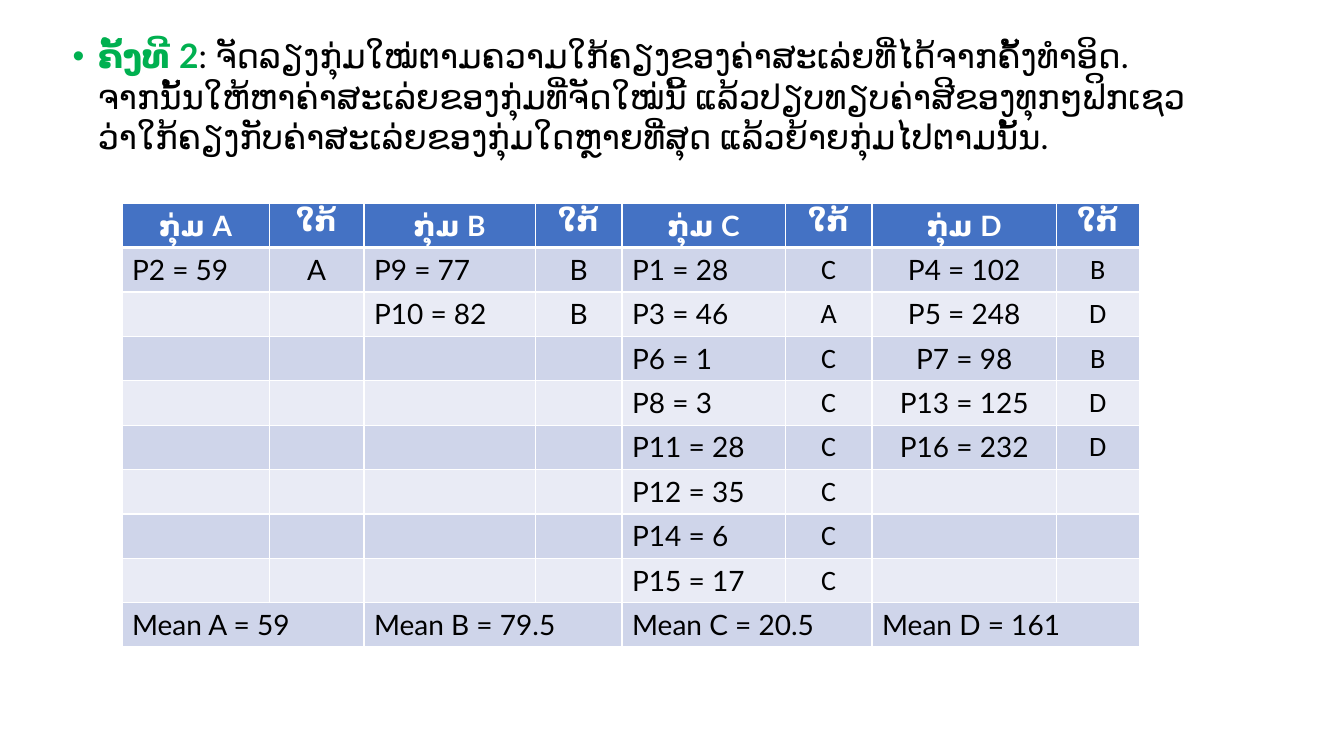
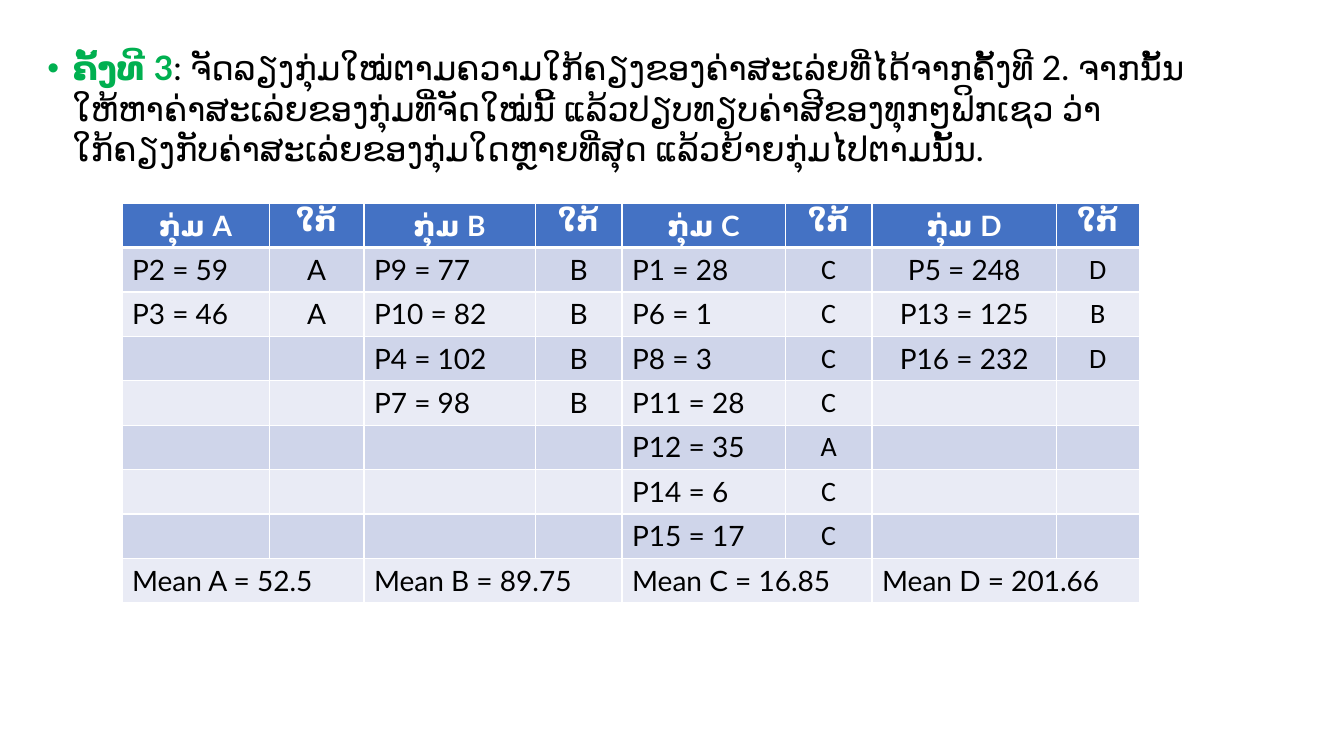
from dataclasses import dataclass
from itertools import zip_longest

from pptx import Presentation
from pptx.dml.color import RGBColor as Rgb
from pptx.enum.text import MSO_ANCHOR as Anchor, PP_ALIGN as Align
from pptx.oxml import parse_xml
from pptx.oxml.ns import nsdecls
from pptx.util import Inches, Pt

STEPS = [
    {
        "lead": "ຄັ້ງທີ 2",
        "text": ": ຈັດລຽງກຸ່ມໃໝ່ຕາມຄວາມໃກ້ຄຽງຂອງຄ່າສະເລ່ຍທີ່ໄດ້ຈາກຄັ້ງທຳອິດ. "
                "ຈາກນັ້ນໃຫ້ຫາຄ່າສະເລ່ຍຂອງກຸ່ມທີ່ຈັດໃໝ່ນີ້ ແລ້ວປຽບທຽບຄ່າສີຂອງທຸກໆຟິກເຊວ "
                "ວ່າໃກ້ຄຽງກັບຄ່າສະເລ່ຍຂອງກຸ່ມໃດຫຼາຍທີ່ສຸດ ແລ້ວຍ້າຍກຸ່ມໄປຕາມນັ້ນ.",
        "at": (0.62, 0.3),
        "groups": {
            "A": [(2, 59, "A")],
            "B": [(9, 77, "B"), (10, 82, "B")],
            "C": [(1, 28, "C"), (3, 46, "A"), (6, 1, "C"), (8, 3, "C"),
                  (11, 28, "C"), (12, 35, "C"), (14, 6, "C"), (15, 17, "C")],
            "D": [(4, 102, "B"), (5, 248, "D"), (7, 98, "B"),
                  (13, 125, "D"), (16, 232, "D")],
        },
        "means": ("59", "79.5", "20.5", "161"),
    },
    {
        "lead": "ຄັ້ງທີ 3",
        "text": ": ຈັດລຽງກຸ່ມໃໝ່ຕາມຄວາມໃກ້ຄຽງຂອງຄ່າສະເລ່ຍທີ່ໄດ້ຈາກຄັ້ງທີ 2. "
                "ຈາກນັ້ນໃຫ້ຫາຄ່າສະເລ່ຍຂອງກຸ່ມທີ່ຈັດໃໝ່ນີ້ ແລ້ວປຽບທຽບຄ່າສີຂອງທຸກໆຟິກເຊວ "
                "ວ່າໃກ້ຄຽງກັບຄ່າສະເລ່ຍຂອງກຸ່ມໃດຫຼາຍທີ່ສຸດ ແລ້ວຍ້າຍກຸ່ມໄປຕາມນັ້ນ.",
        "at": (0.37, 0.42),
        "groups": {
            "A": [(2, 59, "A"), (3, 46, "A")],
            "B": [(9, 77, "B"), (10, 82, "B"), (4, 102, "B"), (7, 98, "B")],
            "C": [(1, 28, "C"), (6, 1, "C"), (8, 3, "C"), (11, 28, "C"),
                  (12, 35, "A"), (14, 6, "C"), (15, 17, "C")],
            "D": [(5, 248, "D"), (13, 125, "B"), (16, 232, "D")],
        },
        "means": ("52.5", "89.75", "16.85", "201.66"),
    },
]
NEAR = "ໃກ້"
GROUP = "ກຸ່ມ"

SIZE = (13.33, 7.5)
BODY = (11.5, 5.56)
GRID = (1.21, 2.02)
COLS = (1.46, 0.94, 1.7, 0.86, 1.62, 0.86, 1.83, 0.82)
ROW = 0.43
MID_COLS = {1, 3, 5, 6, 7}
ALT_COLS = {5, 7}


@dataclass(frozen=True)
class Theme:
    """Colours, fonts and type sizes of the deck."""
    lead: str = "00B050"
    ink: str = "000000"
    light: str = "FFFFFF"
    head: str = "4472C4"
    bands: tuple = ("E9EBF5", "CFD5EA")
    font: str = "Lato"
    alt: str = "Calibri"
    body: int = 24
    cell: int = 20
    thin: int = 1
    thick: int = 3


LOOK = Theme()


def style(run, size, color, bold=False, font=LOOK.font):
    """Format one run."""
    run.font.size, run.font.bold, run.font.name = Pt(size), bold, font
    run.font.color.rgb = Rgb.from_string(color)


def add_note(slide, step):
    """Fill the body placeholder with the bulleted step."""
    body = slide.placeholders[1]
    body.left, body.top = map(Inches, step["at"])
    body.width, body.height = map(Inches, BODY)
    body.text_frame.vertical_anchor = Anchor.TOP
    para = body.text_frame.paragraphs[0]
    para.space_before, para.line_spacing = Pt(10), 1.0
    props = para._p.get_or_add_pPr()
    props.set("marL", str(Inches(0.25)))
    props.set("indent", str(-Inches(0.25)))
    for tag in ('buFont %s typeface="Arial"', 'buChar %s char="•"'):
        props.append(parse_xml(f"<a:{tag % nsdecls('a')}/>"))
    for key, color in (("lead", LOOK.lead), ("text", LOOK.ink)):
        run = para.add_run()
        run.text = step[key]
        style(run, LOOK.body, color, key == "lead")


def add_edges(cell, row):
    """Draw the white cell borders, thick under the header row."""
    thick = {"B": row == 0, "T": row == 1}
    for i, side in enumerate("LRTB"):
        width = Pt(LOOK.thick if thick.get(side) else LOOK.thin)
        cell._tc.get_or_add_tcPr().insert(i, parse_xml(
            f'<a:ln{side} {nsdecls("a")} w="{width}"><a:solidFill>'
            f'<a:srgbClr val="{LOOK.light}"/></a:solidFill></a:ln{side}>'))


def lay_rows(step):
    """Return the table's text, row by row."""
    groups = step["groups"]
    rows = [[text for name in groups for text in (f"{GROUP} {name}", NEAR)]]
    for points in zip_longest(*groups.values()):
        pairs = [(f"P{p[0]} = {p[1]}", p[2]) if p else ("", "") for p in points]
        rows.append([text for pair in pairs for text in pair])
    means = zip(groups, step["means"])
    rows.append([text for name, mean in means
                 for text in (f"Mean {name} = {mean}", "")])
    return rows


def fill_cell(cell, text, row, col, last):
    """Set the text, fill and borders of one cell."""
    head, foot = row == 0, row == last
    cell.fill.solid()
    color = LOOK.head if head else LOOK.bands[row % 2]
    cell.fill.fore_color.rgb = Rgb.from_string(color)
    add_edges(cell, row)
    if not text:
        return
    para = cell.text_frame.paragraphs[0]
    para.text = text
    mid = head or (col in MID_COLS and not foot)
    para.alignment = Align.CENTER if mid else Align.LEFT
    alt = col in ALT_COLS and not head
    style(para.runs[0], LOOK.cell, LOOK.light if head else LOOK.ink, head,
          LOOK.alt if alt else LOOK.font)


def add_grid(slide, step):
    """Add the table of groups with a merged row of means."""
    rows = lay_rows(step)
    last = len(rows) - 1
    box = (*GRID, sum(COLS), ROW * len(rows))
    table = slide.shapes.add_table(len(rows), len(COLS), *map(Inches, box)).table
    for col, width in zip(table.columns, COLS):
        col.width = Inches(width)
    for r, texts in enumerate(rows):
        table.rows[r].height = Inches(ROW)
        for c, text in enumerate(texts):
            fill_cell(table.cell(r, c), text, r, c, last)
    for c in range(0, len(COLS), 2):
        table.cell(last, c).merge(table.cell(last, c + 1))


def build():
    """Build and save the deck."""
    deck = Presentation()
    deck.slide_width, deck.slide_height = map(Inches, SIZE)
    for step in STEPS:
        slide = deck.slides.add_slide(deck.slide_layouts[1])
        title = slide.shapes.title.element
        title.getparent().remove(title)
        add_note(slide, step)
        add_grid(slide, step)
    deck.save("out.pptx")


build()
